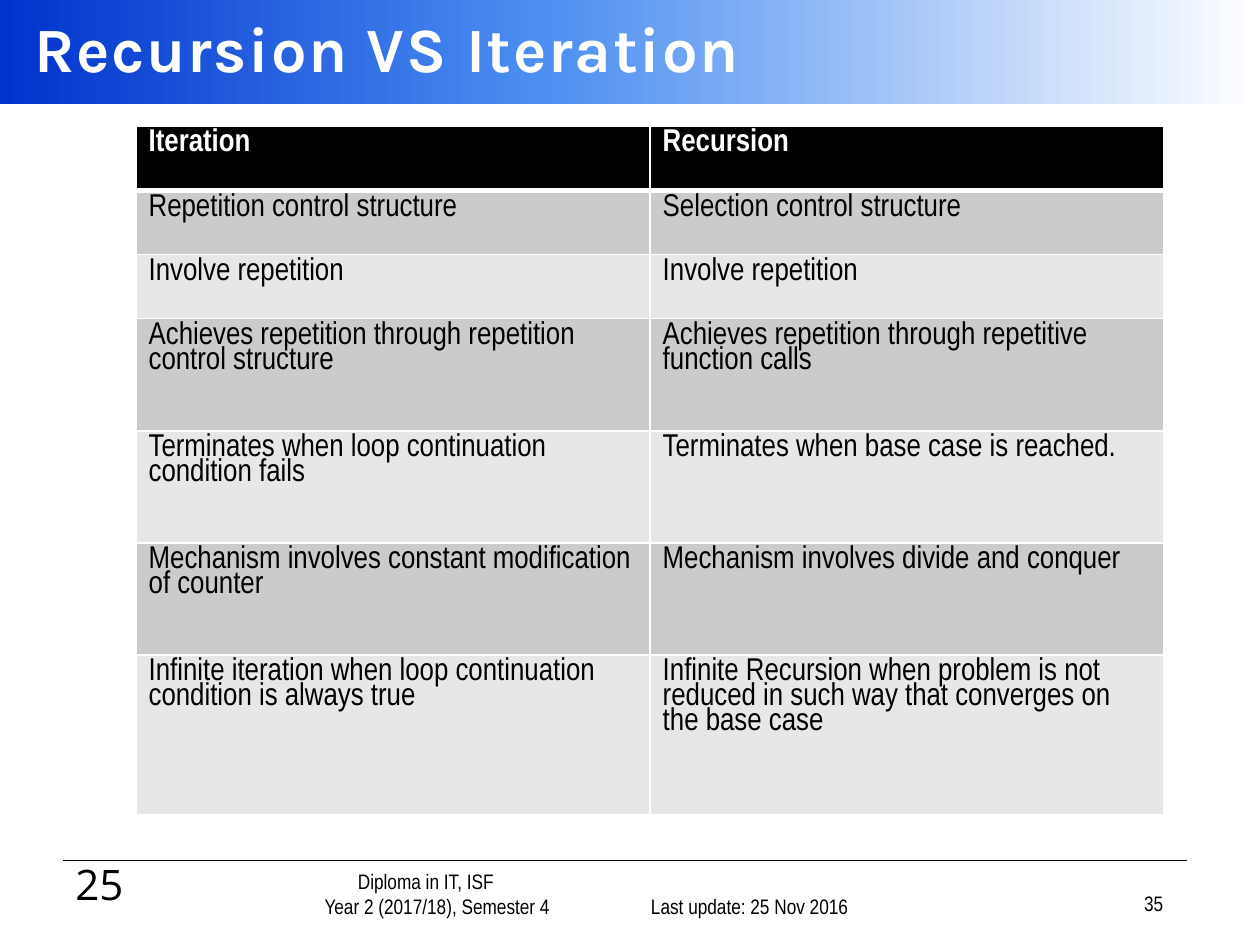
from dataclasses import dataclass

from lxml import etree
from pptx import Presentation
from pptx.dml.color import RGBColor
from pptx.enum import shapes, text
from pptx.oxml import ns
from pptx.util import Inches, Pt


@dataclass(frozen=True)
class Theme:
    black: str = "000000"
    white: str = "FFFFFF"
    bands: tuple = ("CBCBCB", "E7E7E7")
    banner: tuple = ((0, "0033CC"), (43, "4C8EF1"), (100, "FFFFFF"))
    title_font: str = "Karla"
    body_font: str = "Arial Narrow"
    number_font: str = "Open Sans"
    title_size: int = 36
    number_size: int = 24
    table_size: int = 18
    footer_size: int = 12


THEME = Theme()
ALIGN = text.PP_ALIGN
ANCHOR = text.MSO_ANCHOR

ROWS = [
    ("Iteration", "Recursion"),
    ("Repetition control structure", "Selection control structure"),
    ("Involve repetition", "Involve repetition"),
    ("Achieves repetition through repetition control structure",
     "Achieves repetition through repetitive function calls"),
    ("Terminates when loop continuation condition fails",
     "Terminates when base case is reached."),
    ("Mechanism involves constant modification of counter",
     "Mechanism involves divide and conquer"),
    ("Infinite iteration when loop continuation condition is always true",
     "Infinite Recursion when problem is not reduced in such way "
     "that converges on the base case"),
]
ROW_HEIGHTS = [0.51] * 3 + [0.89] * 3 + [1.27]


def add_element(parent, tag, **attributes):
    return etree.SubElement(parent, ns.qn(tag), attributes)


def add_span(para, words, size, font=THEME.body_font, color=THEME.black, bold=False):
    span = para.add_run()
    span.text = words
    span.font.size = Pt(size)
    span.font.name = font
    span.font.bold = bold
    span.font.color.rgb = RGBColor.from_string(color)
    return span


def add_banner(page):
    banner = page.shapes.add_shape(
        shapes.MSO_SHAPE.RECTANGLE, 0, 0, Inches(10), Inches(0.83))
    banner.shadow.inherit = False
    banner.line.fill.background()
    banner.fill.gradient()
    banner.fill.gradient_angle = 0
    stops = banner.fill._fill._gradFill.find(ns.qn("a:gsLst"))
    for stop in list(stops):
        stops.remove(stop)
    for position, color in THEME.banner:
        stop = add_element(stops, "a:gs", pos=str(position * 1000))
        add_element(stop, "a:srgbClr", val=color)


def set_title(page, words):
    title = page.shapes.title
    title.left, title.top = Inches(0.17), 0
    title.width, title.height = Inches(9.83), Inches(0.75)
    frame = title.text_frame
    frame.vertical_anchor = ANCHOR.MIDDLE
    para = frame.paragraphs[0]
    para.alignment = ALIGN.LEFT
    span = add_span(para, words, THEME.title_size, THEME.title_font, THEME.white, True)
    span.font._element.set("spc", "100")
    page.shapes._spTree.append(title._element)


def add_rule(page):
    rule = page.shapes.add_connector(
        shapes.MSO_CONNECTOR.STRAIGHT,
        Inches(0.5), Inches(6.83), Inches(9.42), Inches(6.83))
    rule.line.width = Pt(1)
    rule.line.color.rgb = RGBColor.from_string(THEME.black)
    add_element(rule._element.spPr, "a:effectLst")


def add_label(page, lines, left, top, width, height, align,
              size=THEME.footer_size, font=THEME.body_font, indents=(0,)):
    box = page.shapes.add_textbox(Inches(left), Inches(top), Inches(width), Inches(height))
    frame = box.text_frame
    frame.word_wrap = True
    frame.vertical_anchor = ANCHOR.BOTTOM
    for index, (words, indent) in enumerate(zip(lines, indents)):
        para = frame.add_paragraph() if index else frame.paragraphs[0]
        para.alignment = align
        para._p.get_or_add_pPr().set("marL", str(Inches(indent)))
        add_span(para, words, size, font)


def set_borders(cell, widths):
    properties = cell._tc.get_or_add_tcPr()
    for side, width in zip("LRTB", widths):
        line = add_element(properties, "a:ln" + side, w=str(Pt(width)))
        fill = add_element(line, "a:solidFill")
        add_element(fill, "a:srgbClr", val=THEME.white)


def add_comparison(page):
    table = page.shapes.add_table(
        len(ROWS), 2, Inches(1.08), Inches(1), Inches(8.16),
        Inches(sum(ROW_HEIGHTS))).table
    for column in table.columns:
        column.width = Inches(4.08)
    for r, (words_pair, height) in enumerate(zip(ROWS, ROW_HEIGHTS)):
        table.rows[r].height = Inches(height)
        header = r == 0
        for c, words in enumerate(words_pair):
            cell = table.cell(r, c)
            set_borders(cell, (1, 1, 3 if r == 1 else 1, 3 if header else 1))
            cell.fill.solid()
            cell.fill.fore_color.rgb = RGBColor.from_string(
                THEME.black if header else THEME.bands[(r - 1) % 2])
            para = cell.text_frame.paragraphs[0]
            para.line_spacing = 0.83
            add_span(para, words, THEME.table_size,
                     color=THEME.white if header else THEME.black, bold=header)


def main():
    deck = Presentation()
    deck.slide_width, deck.slide_height = Inches(10), Inches(7.5)
    page = deck.slides.add_slide(deck.slide_layouts[5])
    add_label(page, ["Diploma in IT, ISF", "Year 2 (2017/18), Semester 4"],
              1.68, 6.92, 2.9, 0.42, ALIGN.CENTER, indents=(0.5, 0.68))
    add_rule(page)
    add_label(page, ["25"], 0.5, 6.71, 1, 0.55, ALIGN.LEFT,
              THEME.number_size, THEME.number_font)
    add_banner(page)
    add_label(page, ["Last update: 25 Nov 2016"], 4.75, 6.92, 2.08, 0.42, ALIGN.RIGHT)
    add_label(page, ["35"], 7.25, 6.9, 2.08, 0.42, ALIGN.RIGHT)
    set_title(page, "Recursion VS Iteration")
    add_comparison(page)
    deck.save("out.pptx")


main()
